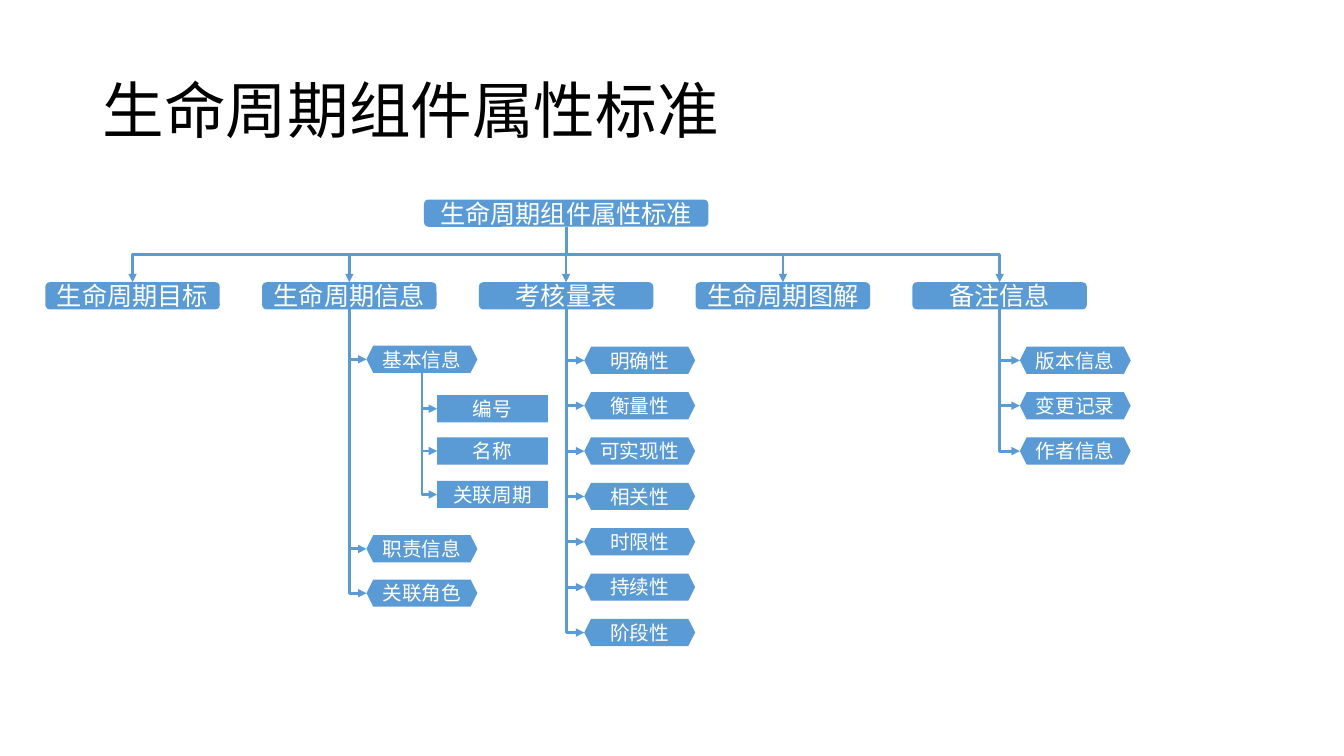
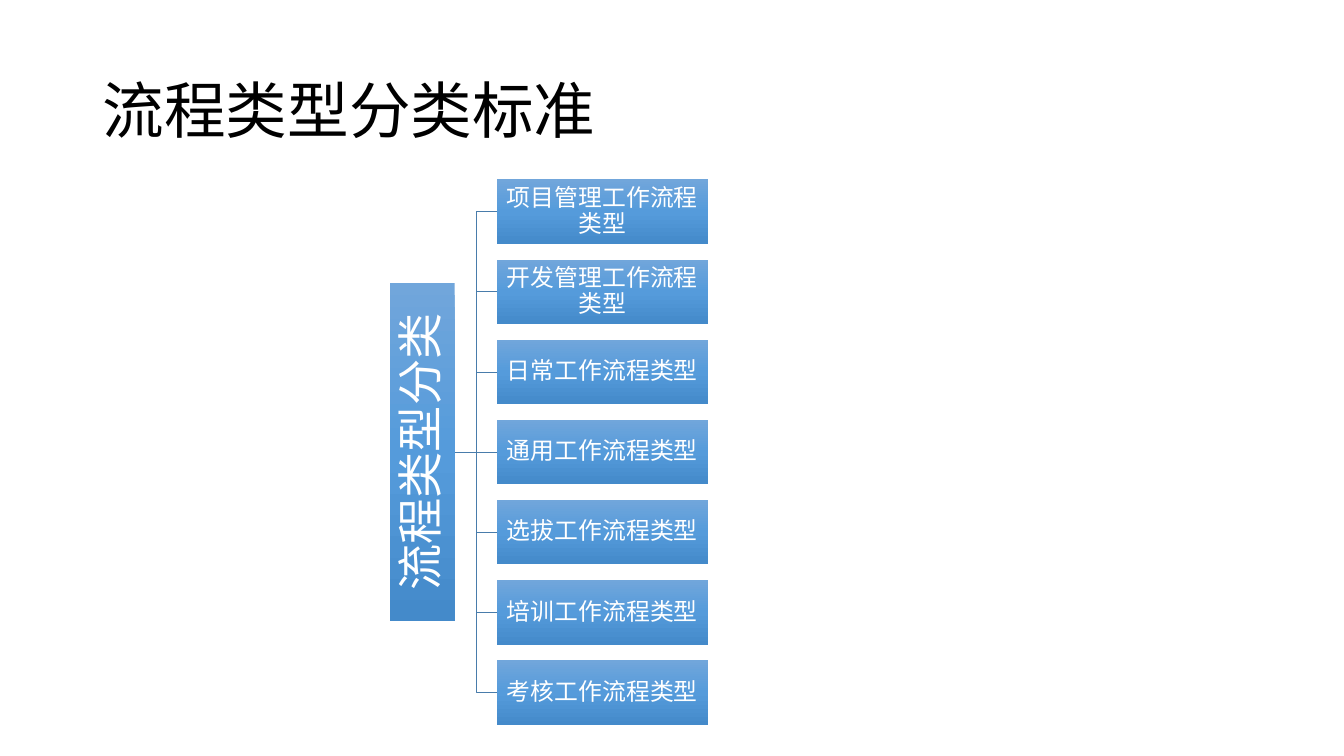
import pptx
import pptx.dml.color
import pptx.enum.shapes
import pptx.enum.text
import pptx.oxml.ns
import pptx.util
from lxml import etree

Inches = pptx.util.Inches
Pt = pptx.util.Pt
KIND = pptx.enum.shapes.MSO_SHAPE
ALIGN = pptx.enum.text.PP_ALIGN
FONT = "Noto Sans CJK SC"
BLUE, EDGE, WHITE, BLACK = "5B9BD5", "497CAB", "FFFFFF", "000000"
SHADE = [(0, "71A6DB"), (50, "559BDB"), (100, "448ACA")]
BAR = 0.27  # height of every tree box
LEFT = {KIND.HEXAGON: 3, KIND.RECTANGLE: 1}  # left connection sites


def color(code):
    return pptx.dml.color.RGBColor.from_string(code)


def sub(parent, tag, **attrs):
    return etree.SubElement(parent, pptx.oxml.ns.qn(tag), attrs)


def find(shape, tag):
    return shape._element.spPr.find(pptx.oxml.ns.qn(tag))


def write(shape, text, size=14, ink=WHITE, align=ALIGN.CENTER,
          space=None, pad=(0, 0), turn=None):
    """Put formatted text in a shape; pad is (sides, top and bottom)."""
    frame = shape.text_frame
    frame.word_wrap = True
    frame.vertical_anchor = pptx.enum.text.MSO_ANCHOR.MIDDLE
    frame.margin_left = frame.margin_right = Inches(pad[0])
    frame.margin_top = frame.margin_bottom = Inches(pad[1])
    if turn:
        frame._txBody.bodyPr.set("vert", turn)
    para = frame.paragraphs[0]
    para.alignment = align
    if space:
        para.line_spacing = space
    run = para.add_run()
    run.text = text
    run.font.size = Pt(size)
    run.font.name = FONT
    run.font.color.rgb = color(ink)
    sub(run._r.get_or_add_rPr(), "a:ea", typeface=FONT)


def box(slide, kind, left, top, width, height, text, fill=BLUE, **style):
    shape = slide.shapes.add_shape(
        kind, Inches(left), Inches(top), Inches(width), Inches(height))
    shape.shadow.inherit = False
    shape.line.fill.background()
    if isinstance(fill, str):
        shape.fill.solid()
        shape.fill.fore_color.rgb = color(fill)
    else:
        blend(shape, fill)
    write(shape, text, **style)
    return shape


def blend(shape, stops):
    """Fill a shape with a gradient that runs from top to bottom."""
    shape.fill.gradient()
    shape.fill.gradient_angle = 270
    items = find(shape, "a:gradFill").find(pptx.oxml.ns.qn("a:gsLst"))
    for old in list(items):
        items.remove(old)
    for spot, code in stops:
        stop = sub(items, "a:gs", pos=str(spot * 1000))
        sub(stop, "a:srgbClr", val=code)


def elbow(slide, x1, y1, x2, y2, form, end, site, begin=None):
    """Arrow that leaves (x1, y1) downward and bends to (x2, y2)."""
    link = slide.shapes.add_connector(
        pptx.enum.shapes.MSO_CONNECTOR.ELBOW,
        Inches(x1), Inches(y1), Inches(x2), Inches(y2))
    if begin is not None:
        link.begin_connect(begin, 2)
    link.end_connect(end, site)

    # The bend lies on its side, so the frame is turned about its centre
    run, drop = abs(x2 - x1), y2 - y1
    link.left = Inches((x1 + x2 - drop) / 2)
    link.top = Inches((y1 + y2 - run) / 2)
    link.width, link.height = Inches(drop), Inches(run)
    back = x2 < x1
    frame = find(link, "a:xfrm")
    frame.set("rot", "5400000" if back else "16200000")
    frame.set("flipH", "0" if back else "1")
    frame.set("flipV", "0")
    find(link, "a:prstGeom").set("prst", form)

    link.line.color.rgb = color(BLUE)
    link.line.width = Pt(2)
    sub(link.line._get_or_add_ln(), "a:tailEnd", type="triangle")
    sub(link._element.spPr, "a:effectLst")


def trace(slide, start, *rest):
    """Thin open outline through the given points."""
    pen = slide.shapes.build_freeform(
        Inches(start[0]), Inches(start[1]), scale=1.0)
    pen.add_line_segments(
        [(Inches(x), Inches(y)) for x, y in rest], close=False)
    shape = pen.convert_to_shape()
    shape.shadow.inherit = False
    shape.fill.background()
    shape.line.color.rgb = color(EDGE)
    shape.line.width = Pt(0.5)


def start(deck, title):
    """Add a blank slide with the shared title."""
    slide = deck.slides.add_slide(deck.slide_layouts[6])
    head = slide.shapes.add_textbox(
        Inches(0.92), Inches(0.4), Inches(11.5), Inches(1.45))
    write(head, title, size=44, ink=BLACK, align=ALIGN.LEFT,
          space=0.9, pad=(0.1, 0.05))
    return slide


def branch(slide, x, top, left, kind, items, begin=None):
    """Hang (box top, text) items to the right of a trunk at x."""
    shapes = []
    for y, text in items:
        leaf = box(slide, kind, left, y, 1.1, BAR, text)
        elbow(slide, x, top, left, y + BAR / 2, "bentConnector2",
              leaf, LEFT[kind], begin)
        shapes.append(leaf)
    return shapes


def spread(top, step, names):
    return [(top + step * i, name) for i, name in enumerate(names)]


def tree(slide, left, top):
    """Standard tree: root, five columns and their branches."""
    wide, step = 1.73, 2.15
    names = ["生命周期目标", "生命周期信息", "考核量表", "生命周期图解", "备注信息"]
    mids = [left + wide / 2 + step * i for i in range(len(names))]
    row = top + 0.82
    base = row + BAR

    # Root and column heads
    root = box(slide, KIND.ROUNDED_RECTANGLE, mids[2] - 1.41, top, 2.82, BAR,
               "生命周期组件属性标准", size=18)
    heads = []
    for mid, name in zip(mids, names):
        head = box(slide, KIND.ROUNDED_RECTANGLE, mid - wide / 2, row,
                   wide, BAR, name, size=18)
        elbow(slide, mids[2], top + BAR, mid, row, "bentConnector3",
              head, 0, root)
        heads.append(head)

    # Branches
    first = top + 1.46
    info = [(first - 0.01, "基本信息"), (first + 1.87, "职责信息"),
            (first + 2.31, "关联角色")]
    marks = ["明确性", "衡量性", "可实现性", "相关性", "时限性", "持续性", "阶段性"]
    notes = ["版本信息", "变更记录", "作者信息"]
    for col, gap, items in [(1, 0.17, info),
                            (2, 0.18, spread(first, 0.45, marks)),
                            (4, 0.2, spread(first, 0.45, notes))]:
        branch(slide, mids[col], base, mids[col] + gap, KIND.HEXAGON,
               items, heads[col])

    # Parts of the basic information
    twig = mids[1] + 0.72
    parts = [(first + 0.48, "编号"), (first + 0.9, "名称"),
             (first + 1.33, "关联周期")]
    branch(slide, twig, first - 0.01 + BAR, twig + 0.15, KIND.RECTANGLE, parts)


def types(slide, left, top):
    """Type chart: an upright root joined to a stack of boxes."""
    names = ["项目管理", "开发管理", "日常", "通用", "选拔", "培训", "考核"]
    thick, tall, pitch, gap = 0.64, 3.35, 4.77 / 6, 0.42
    ys = [top + thick / 2 + pitch * i for i in range(len(names))]
    mid, edge = ys[len(ys) // 2], left + thick
    bus, col = edge + gap / 2, edge + gap

    # Links
    for y in reversed(ys):
        bend = [] if y == mid else [(bus, mid), (bus, y)]
        trace(slide, (edge, mid), *bend, (col, y))

    # Root and boxes
    box(slide, KIND.RECTANGLE, left, mid - tall / 2, thick, tall,
        "流程类型分类", fill=SHADE, size=33, space=0.9,
        pad=(0.02, 0.02), turn="vert270")
    for y, name in zip(ys, names):
        box(slide, KIND.RECTANGLE, col, y - thick / 2, 2.09, thick,
            name + "工作流程类型", fill=SHADE, size=17, space=0.9,
            pad=(0.01, 0.01))


def main():
    deck = pptx.Presentation()
    deck.slide_width, deck.slide_height = Inches(13.33), Inches(7.5)
    tree(start(deck, "生命周期组件属性标准"), 0.45, 1.98)
    types(start(deck, "流程类型分类标准"), 3.87, 1.78)
    deck.save("out.pptx")


if __name__ == "__main__":
    main()
